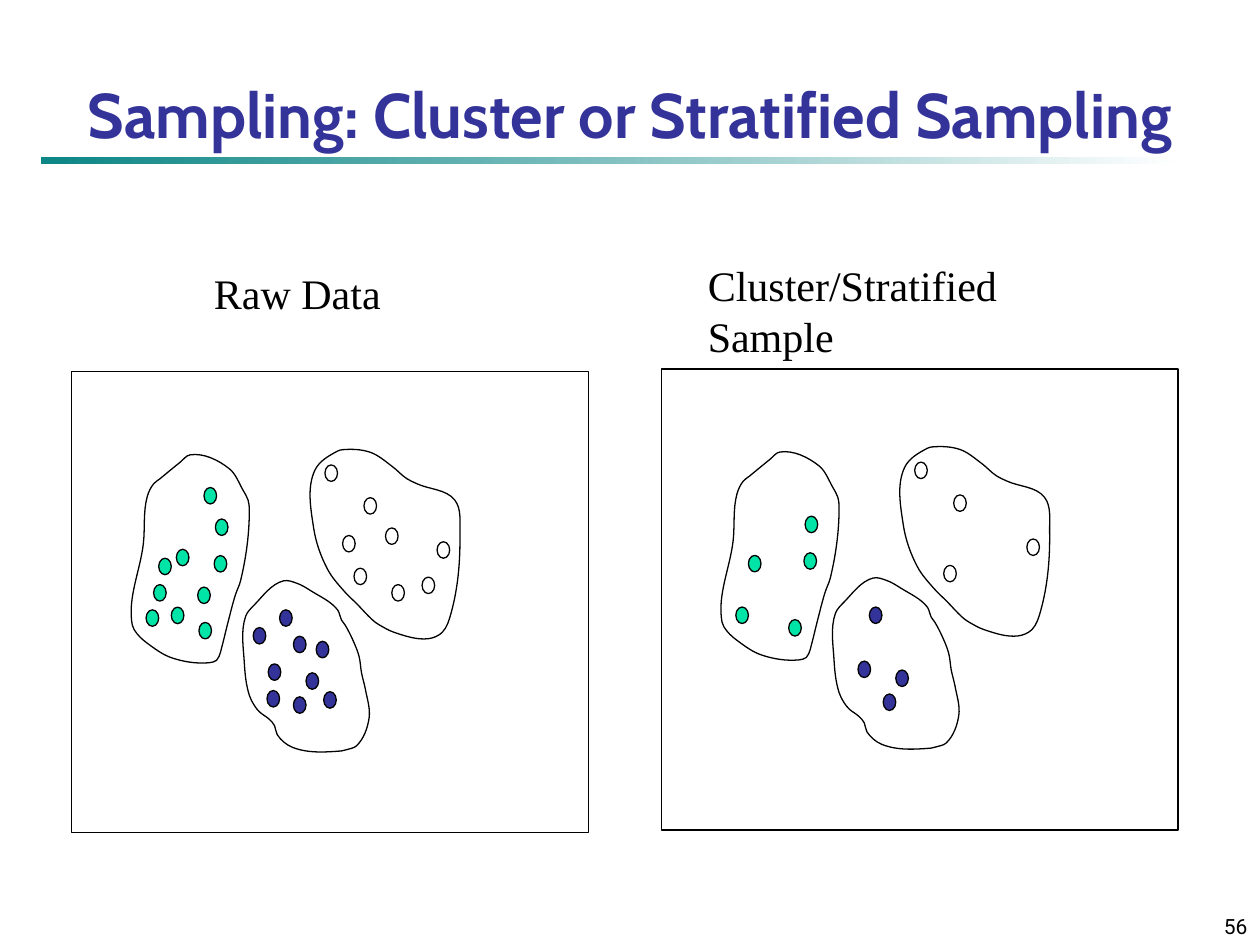
from dataclasses import dataclass
from math import hypot
from lxml.etree import SubElement
from pptx import Presentation
from pptx.dml.color import RGBColor
from pptx.enum.shapes import MSO_SHAPE
from pptx.enum.text import MSO_ANCHOR, MSO_AUTO_SIZE, PP_ALIGN
from pptx.oxml.ns import qn
from pptx.util import Pt

BLACK = RGBColor(0, 0, 0)
WHITE = RGBColor(255, 255, 255)
NAVY = RGBColor(0x33, 0x33, 0x99)
GREEN = RGBColor(0x00, 0xE4, 0xA8)
TEAL = RGBColor(0x00, 0x80, 0x80)

PANEL_SIZE = (295.2, 263.5)
DOT_SIZE = (7.2, 9.4)
SHARP_TURN = 0.25

TITLE_FONT = {"name": "Cabin", "size": Pt(36), "bold": True}
LABEL_FONT = {"name": "Times New Roman", "size": Pt(24)}
NUMBER_FONT = {"name": "Roboto", "size": Pt(12)}


@dataclass
class Cluster:
    """A group of data points: those sampled, the others, and the outline."""
    color: RGBColor
    sampled: list
    unsampled: list
    outline: list


CLUSTERS = [
    Cluster(
        WHITE,
        [(167, 72), (161.3, 112.3), (208.8, 97.2), (144.7, 53.3)],
        [(179.3, 89.3), (154.8, 93.6), (200.2, 117.4), (182.9, 121.7)],
        [(218.9, 73.4), (221.8, 92.9), (216.7, 138.2), (211.7, 149),
         (203.8, 152.6), (184.3, 149), (175.7, 144.7), (173.5, 143.3),
         (162.7, 132.5), (155.5, 125.3), (146.2, 113), (138.2, 89.3),
         (139, 56.2), (151.9, 45.4), (154.8, 44.6), (170.6, 46.1),
         (182.9, 54), (191.5, 61.2), (197.3, 64.1)]),
    Cluster(
        NAVY,
        [(126.7, 185.8), (133.9, 172.1), (112.3, 167), (118.8, 136.1)],
        [(103.7, 146.2), (139.7, 154.1), (126.7, 151.2), (111.6, 182.2),
         (144, 182.9)],
        [(115.9, 202.3), (113, 198.7), (107.3, 194.4), (104.4, 190.8),
         (101.5, 185), (98.6, 166.3), (99.4, 139.7), (104.4, 133.2),
         (121, 119.5), (128.9, 121), (136.8, 125.3), (151.9, 136.1),
         (154.1, 141.8), (156.2, 144.7), (161.3, 154.8), (164.2, 162.7),
         (165.6, 172.1), (167.8, 181.4), (169.9, 198), (162.7, 213.8),
         (157, 216), (154.1, 216.7), (126, 214.6), (117.4, 207.4)]),
    Cluster(
        GREEN,
        [(42.5, 136.1), (49.7, 106.6), (72.7, 143.3), (81.4, 105.1),
         (82.1, 84.2)],
        [(56.9, 134.6), (46.8, 121.7), (72, 123.1), (59.8, 101.5),
         (75.6, 66.2)],
        [(93.6, 127.4), (89.3, 143.3), (85.7, 157.7), (84.2, 162.7),
         (82.8, 164.9), (78.5, 166.3), (56.9, 163.4), (44.6, 156.2),
         (37.4, 149.8), (34.6, 144.7), (41, 97.9), (43.2, 71.3),
         (46.8, 64.1), (50.4, 61.2), (58.3, 54.7), (61.9, 51.8),
         (67.7, 47.5), (90, 55.4), (97.9, 67.7), (100.8, 73.4),
         (101.5, 78.5), (96.5, 119.5)]),
]


def points(*lengths):
    """Turn plain numbers into point lengths."""
    return [Pt(length) for length in lengths]


def write(frame, text, font_values, color, align=PP_ALIGN.LEFT):
    """Write one formatted paragraph into a text frame."""
    frame.text = text
    paragraph = frame.paragraphs[0]
    paragraph.alignment = align
    for attribute, value in font_values.items():
        setattr(paragraph.font, attribute, value)
    paragraph.font.color.rgb = color


def style(shape, fill=None):
    """Give a shape a thin black line and an optional solid fill."""
    shape.shadow.inherit = False
    shape.line.color.rgb = BLACK
    shape.line.width = Pt(0.75)
    if fill is None:
        shape.fill.background()
    else:
        shape.fill.solid()
        shape.fill.fore_color.rgb = fill


def direction(start, end):
    """Return the unit vector from start to end."""
    dx, dy = end[0] - start[0], end[1] - start[1]
    length = hypot(dx, dy) or 1
    return dx / length, dy / length


def tangent(before, knot, after):
    """Return the curve direction at a knot, or zero where it turns sharply."""
    arriving, leaving = direction(before, knot), direction(knot, after)
    if arriving[0] * leaving[0] + arriving[1] * leaving[1] < SHARP_TURN:
        return 0, 0
    return direction((0, 0), (arriving[0] + leaving[0], arriving[1] + leaving[1]))


def round_segments(outline):
    """Turn the straight segments of a closed freeform into Bézier curves."""
    knots = [(int(pt.get("x")), int(pt.get("y")))
             for pt in outline.element.iter(qn("a:pt"))][:-1]
    count = len(knots)
    tangents = [tangent(knots[i - 1], knots[i], knots[(i + 1) % count])
                for i in range(count)]
    for i, segment in enumerate(list(outline.element.iter(qn("a:lnTo")))):
        after = (i + 1) % count
        start, end = knots[i], knots[after]
        handle = hypot(end[0] - start[0], end[1] - start[1]) / 3
        leaving = [p + handle * t for p, t in zip(start, tangents[i])]
        arriving = [p - handle * t for p, t in zip(end, tangents[after])]
        curve = SubElement(segment.getparent(), qn("a:cubicBezTo"))
        for x, y in (leaving, arriving, end):
            SubElement(curve, qn("a:pt"), x=str(round(x)), y=str(round(y)))
        segment.getparent().replace(segment, curve)


def add_cluster(shapes, left, top, cluster, sample_only):
    """Draw the dots and the outline of one cluster."""
    dots = cluster.sampled + ([] if sample_only else cluster.unsampled)
    for x, y in dots:
        dot = shapes.add_shape(MSO_SHAPE.FLOWCHART_CONNECTOR,
                               *points(left + x, top + y, *DOT_SIZE))
        style(dot, cluster.color)
    knots = [points(left + x, top + y) for x, y in cluster.outline]
    builder = shapes.build_freeform(*knots[0])
    builder.add_line_segments(knots[1:] + knots[:1], close=True)
    outline = builder.convert_to_shape()
    round_segments(outline)
    style(outline)


def add_panel(slide, left, top, sample_only=False):
    """Draw a framed panel with the three clusters."""
    shapes = slide.shapes.add_group_shape().shapes
    style(shapes.add_shape(MSO_SHAPE.RECTANGLE, *points(left, top, *PANEL_SIZE)))
    for cluster in CLUSTERS:
        add_cluster(shapes, left, top, cluster, sample_only)


def add_text(slide, box, text, font_values, wrap=True, align=PP_ALIGN.LEFT,
             anchor=MSO_ANCHOR.TOP):
    """Add a black text box."""
    frame = slide.shapes.add_textbox(*points(*box)).text_frame
    frame.word_wrap = wrap
    frame.vertical_anchor = anchor
    write(frame, text, font_values, BLACK, align)


def add_header(slide, left, top, width, height):
    """Place the title with its fading rule below."""
    rule = slide.shapes.add_shape(
        MSO_SHAPE.RECTANGLE, *points(left + 6, top + height, 648, 3.6))
    rule.shadow.inherit = False
    rule.line.fill.background()
    rule.fill.gradient()
    rule.fill.gradient_angle = 0
    for stop, position, color in zip(rule.fill.gradient_stops, (0, 1), (TEAL, WHITE)):
        stop.position = position
        stop.color.rgb = color
    teal = next(rule.element.iter(qn("a:srgbClr")))
    SubElement(teal, qn("a:alpha"), val="95000")

    title = slide.shapes.title
    title.left, title.top, title.width, title.height = points(left, top, width, height)
    frame = title.text_frame
    frame.auto_size = MSO_AUTO_SIZE.NONE
    frame.vertical_anchor = MSO_ANCHOR.BOTTOM
    write(frame, "Sampling: Cluster or Stratified Sampling", TITLE_FONT, NAVY,
          PP_ALIGN.CENTER)


def main():
    """Build and save the slide."""
    deck = Presentation()
    deck.slide_width, deck.slide_height = points(720, 540)
    slide = deck.slides.add_slide(deck.slide_layouts[5])
    add_header(slide, 18, 24, 684, 66)
    add_text(slide, (570, 510, 150, 30), "56", NUMBER_FONT,
             align=PP_ALIGN.RIGHT, anchor=MSO_ANCHOR.BOTTOM)
    add_panel(slide, 41, 212.4)
    add_panel(slide, 378, 210.8, sample_only=True)
    add_text(slide, (115.2, 149.3, 116, 36), "Raw Data", LABEL_FONT, wrap=False)
    add_text(slide, (397.4, 145, 255, 36), "Cluster/Stratified Sample", LABEL_FONT)
    deck.save("out.pptx")


if __name__ == "__main__":
    main()
